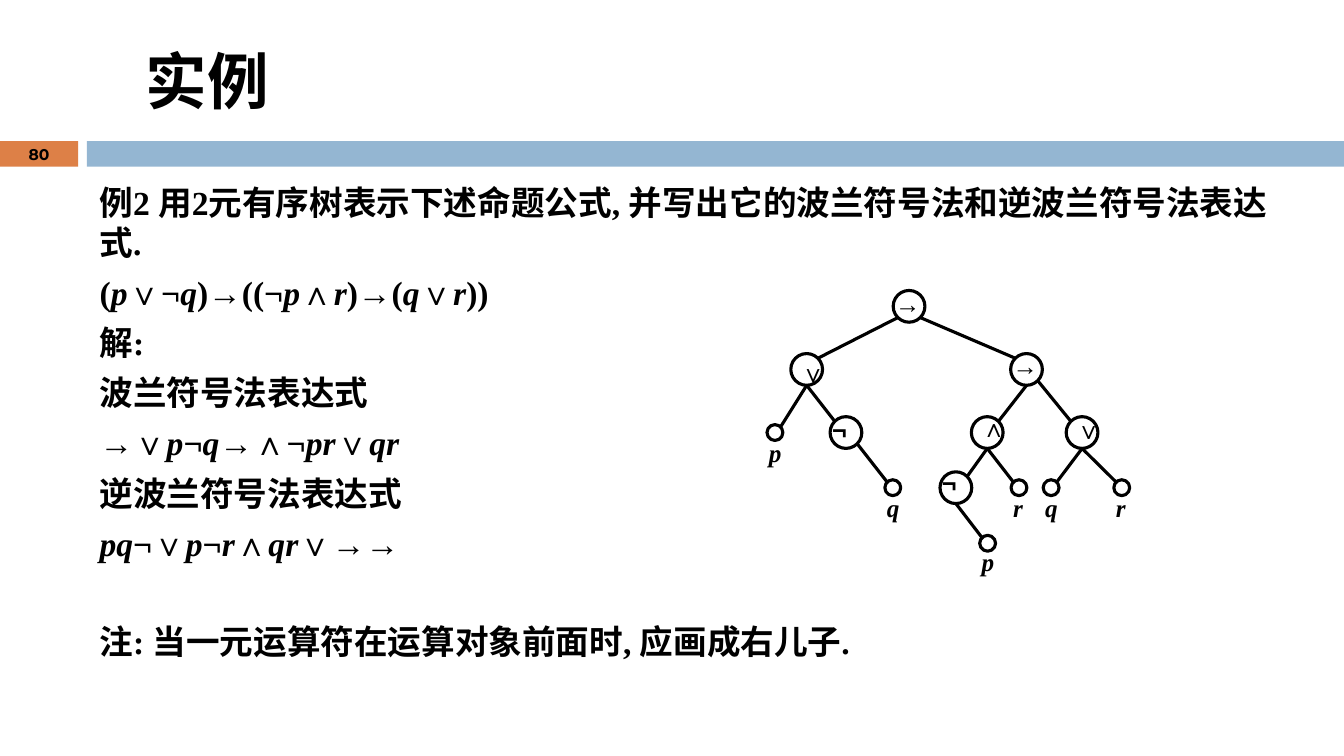
from dataclasses import dataclass
from itertools import groupby
from math import sqrt

from lxml import etree
from pptx import Presentation
from pptx.dml.color import RGBColor
from pptx.enum import shapes, text
from pptx.oxml.ns import qn
from pptx.util import Cm, Pt


@dataclass
class Theme:
    ink: str = "000000"
    tab: str = "DD8047"
    band: str = "94B6D2"
    serif: str = "Times New Roman"
    sans: str = "Arial"
    head: str = "Calibri"
    page: str = "Montserrat"
    title: float = 44
    body: float = 24
    small: float = 18
    number: float = 11.1
    line: float = 2.25


theme = Theme()

# Content: text, left margin (cm), first-line indent (cm), space before (pt), formula?
title = "实例"
number = "80"
body = [
    ("例2 用2元有序树表示下述命题公式, 并写出它的波兰符号法和逆波兰符号法表达式.",
     0.89, -0.89, 7, False),
    ("(p∨¬q)→((¬p∧r)→(q∨r))", 2.33, 0, 7, True),
    ("解:", 0.89, -0.89, 7, False),
    ("波兰符号法表达式", 0.89, -0.89, 7, False),
    ("→∨p¬q→∧¬pr∨qr", 1.06, 0, 7, True),
    ("逆波兰符号法表达式", 0.89, -0.89, 7, False),
    ("pq¬∨p¬r∧qr∨→→", 1.06, 0, 7, True),
    ("注: 当一元运算符在运算对象前面时, 应画成右儿子.", 0.89, -0.89, 41.5, False),
]

# Tree nodes: symbol, centre x (cm), level, lift of the symbol (cm)
nodes = {
    "root": ("→", 22.91, 0, 0.58),
    "or1": ("∨", 20.33, 1, 0.44),
    "imp": ("→", 25.87, 1, 0.6),
    "p1": ("p", 19.53, 2, 0),
    "not1": ("¬", 21.32, 2, 0.58),
    "and": ("∧", 24.88, 2, 0.64),
    "or2": ("∨", 27.27, 2, 0.58),
    "q1": ("q", 22.5, 3, 0),
    "not2": ("¬", 24.09, 3, 0.64),
    "r1": ("r", 25.68, 3, 0),
    "q2": ("q", 26.49, 3, 0),
    "r2": ("r", 28.27, 3, 0),
    "p2": ("p", 24.89, 4, 0.05),
}
levels = [7.72, 9.31, 10.9, 12.29, 13.69]
# Parent, child, and whether the edge leaves from the side of the parent
edges = [
    ("root", "or1", True), ("root", "imp", True),
    ("or1", "p1", False), ("or1", "not1", False), ("not1", "q1", True),
    ("imp", "and", False), ("imp", "or2", True),
    ("and", "not2", False), ("and", "r1", False), ("not2", "p2", False),
    ("or2", "q2", False), ("or2", "r2", False),
]

deck = Presentation()
deck.slide_width, deck.slide_height = Cm(33.87), Cm(19.05)
slide = deck.slides.add_slide(deck.slide_layouts[6])


def color(code):
    return RGBColor.from_string(code)


def put(item, values):
    for name, value in values.items():
        setattr(item, name, value)


def bar(left, width, fill):
    shape = slide.shapes.add_shape(
        shapes.MSO_SHAPE.RECTANGLE, Cm(left), Cm(3.56), Cm(width), Cm(0.64))
    shape.shadow.inherit = False
    shape.fill.solid()
    shape.fill.fore_color.rgb = color(fill)
    shape.line.fill.background()


def box(left, top, width, height, **values):
    area = slide.shapes.add_textbox(Cm(left), Cm(top), Cm(width), Cm(height))
    put(area.text_frame, {"word_wrap": True, **values})
    return area.text_frame


def write(para, words, font, size, italic=False):
    run = para.add_run()
    run.text = words
    put(run.font, {"name": font, "size": Pt(size), "bold": True, "italic": italic})
    run.font.color.rgb = color(theme.ink)


# Header
middle = text.MSO_ANCHOR.MIDDLE
bar(0, 1.97, theme.tab)
bar(2.19, 31.68, theme.band)
head = box(3.43, 0.64, 27.1, 2.74, vertical_anchor=middle)
write(head.paragraphs[0], title, theme.head, theme.title)
page = box(0, 3.54, 1.97, 0.68, vertical_anchor=middle)
page.paragraphs[0].alignment = text.PP_ALIGN.CENTER
write(page.paragraphs[0], number, theme.page, theme.number)

# Body: letters in formulas are italic
frame = box(2.26, 4.45, 30.2, 12.5)
for i, (words, margin, indent, gap, formula) in enumerate(body):
    para = frame.add_paragraph() if i else frame.paragraphs[0]
    para.space_before = Pt(gap)
    put(para._p.get_or_add_pPr(), {"marL": Cm(margin), "indent": Cm(indent)})
    for slant, part in groupby(words, lambda c: formula and c in "pqr"):
        write(para, "".join(part), theme.serif, theme.body, slant)


# Tree
def place(key):
    sign, x, level, lift = nodes[key]
    return x, levels[level], 0.2 if sign in "pqr" else 0.4


for key, (sign, x, level, lift) in nodes.items():
    x, y, r = place(key)
    ring = slide.shapes.add_shape(
        shapes.MSO_SHAPE.OVAL, Cm(x - r), Cm(y - r), Cm(2 * r), Cm(2 * r))
    ring.shadow.inherit = False
    ring.fill.background()
    ring.line.color.rgb = color(theme.ink)
    ring.line.width = Pt(theme.line)

for parent, child, side in edges:
    x1, y1, r1 = place(parent)
    x2, y2, r2 = place(child)
    way = 1 if x2 > x1 else -1
    d1, d2 = r1 / sqrt(2), r2 / sqrt(2)
    start = (x1 + way * d1, y1 + d1) if side else (x1, y1 + r1)
    if (parent, child) == ("imp", "or2"):
        start = (x1 + d1, y1 + d1)
    end = (x2 - way * d2, y2 - d2)
    edge = slide.shapes.add_connector(
        shapes.MSO_CONNECTOR.STRAIGHT, *(Cm(v) for v in start + end))
    edge.line.color.rgb = color(theme.ink)
    edge.line.width = Pt(theme.line)
    etree.SubElement(edge._element.spPr, qn("a:effectLst"))

for sign, x, level, lift in nodes.values():
    leaf = sign in "pqr"
    shift = 0.6 if sign in "→¬" else 0.4
    label = box(x - shift, levels[level] - lift, 1.19, 1.02)
    write(label.paragraphs[0], sign, theme.serif if leaf else theme.sans,
          theme.small, leaf)

deck.save("out.pptx")
